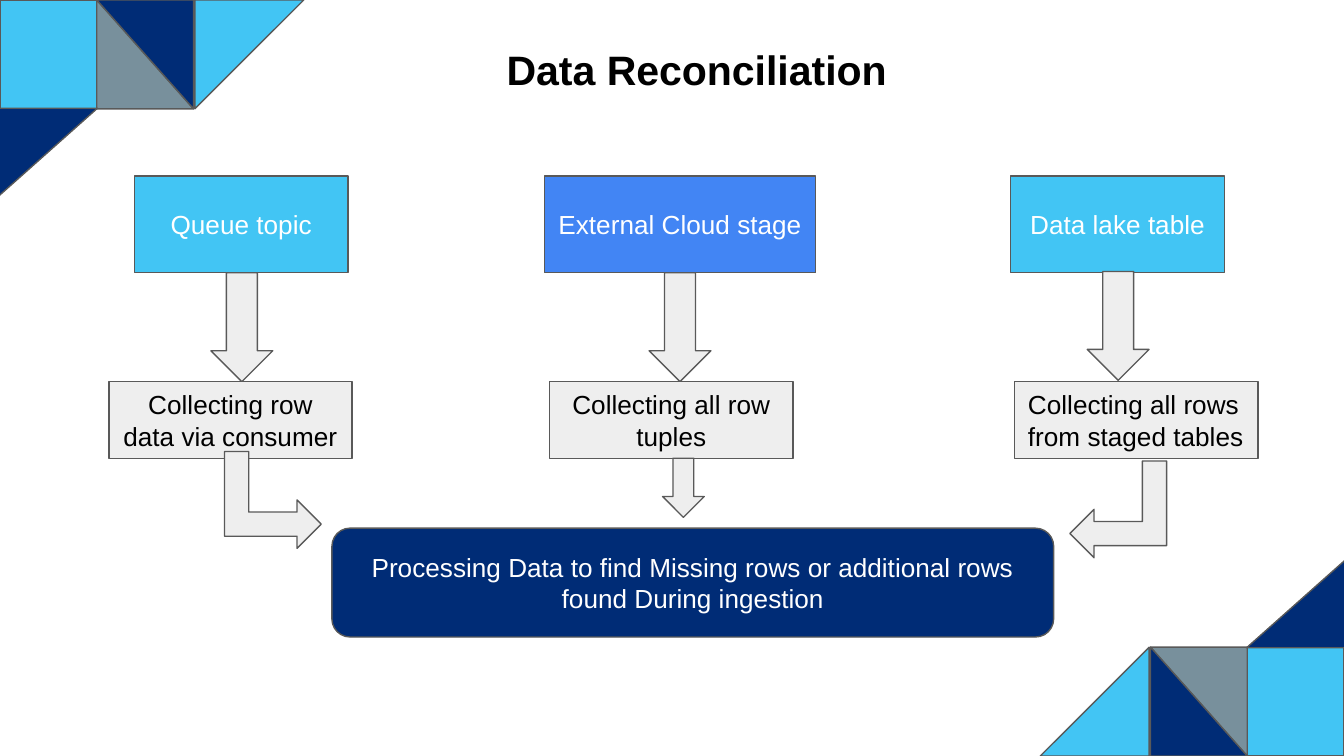
from pptx import Presentation
from pptx.dml.color import RGBColor
from pptx.enum.shapes import MSO_SHAPE as Shape
from pptx.enum.text import MSO_ANCHOR as Anchor, MSO_AUTO_SIZE as AutoSize, PP_ALIGN as Align
from pptx.util import Inches, Pt

WIDTH = 10
HEIGHT = WIDTH * 9 / 16
SKY, BLUE, NAVY = "42C5F4", "4285F4", "002C76"
SLATE, PALE, EDGE = "78909C", "EEEEEE", "595959"
BLACK, WHITE = "000000", "FFFFFF"


def color(value):
    return RGBColor.from_string(value)


def write(tf, text, size=14, fill=BLACK, bold=False, align=Align.CENTER, anchor=Anchor.MIDDLE):
    tf.word_wrap = True
    tf.vertical_anchor = anchor
    tf.margin_left = tf.margin_right = tf.margin_top = tf.margin_bottom = Inches(0.1)
    p = tf.paragraphs[0]
    p.alignment = align
    r = p.add_run()
    r.text = text
    r.font.name = "Arial"
    r.font.size = Pt(size)
    r.font.bold = bold
    r.font.color.rgb = color(fill)


class Deck:
    def __init__(self):
        self.prs = Presentation()
        self.prs.slide_width = Inches(WIDTH)
        self.prs.slide_height = Inches(HEIGHT)
        self.slide = self.prs.slides.add_slide(self.prs.slide_layouts[6])

    def shape(self, kind, x, y, w, h, fill, rotation=0, flip=False):
        sp = self.slide.shapes.add_shape(kind, Inches(x), Inches(y), Inches(w), Inches(h))
        sp.shadow.inherit = False
        sp.fill.solid()
        sp.fill.fore_color.rgb = color(fill)
        sp.line.color.rgb = color(EDGE)
        sp.line.width = Pt(0.75)
        sp.rotation = rotation
        if flip:
            sp._element.spPr.xfrm.set("flipH", "1")
        return sp

    def box(self, text, x, y, w, h, fill, kind=Shape.RECTANGLE, ink=WHITE, align=Align.CENTER):
        sp = self.shape(kind, x, y, w, h, fill)
        write(sp.text_frame, text, fill=ink, align=align)

    def title(self, text, x, y, w, h):
        sp = self.slide.shapes.add_textbox(Inches(x), Inches(y), Inches(w), Inches(h))
        write(sp.text_frame, text, size=22, bold=True, anchor=Anchor.TOP)
        sp.text_frame.auto_size = AutoSize.SHAPE_TO_FIT_TEXT

    def corners(self, tiles):
        for turned in (False, True):
            for kind, x, y, w, h, fill, rotation in tiles:
                if turned:
                    x, y = WIDTH - x - w, HEIGHT - y - h
                    rotation = (rotation + 180) % 360
                self.shape(kind, x, y, w, h, fill, rotation)


def main():
    deck = Deck()
    triangle = Shape.RIGHT_TRIANGLE
    deck.corners([
        (Shape.RECTANGLE, 0, 0, 0.72, 0.81, SKY, 0),
        (triangle, 0.72, 0, 0.72, 0.81, SLATE, 0),
        (triangle, 0.72, 0, 0.72, 0.81, NAVY, 180),
        (triangle, 1.45, 0, 0.81, 0.81, SKY, 90),
        (triangle, -0.04, 0.76, 0.72, 0.81, NAVY, 90),
    ])
    deck.title("Data Reconciliation", 3.35, 0.23, 3.67, 0.57)

    columns = [
        ("Queue topic", 1, 1.59, SKY, 1.57, 2.03,
         "Collecting row data via consumer", 0.81, Align.CENTER),
        ("External Cloud stage", 4.05, 2.02, BLUE, 4.83, 2.03,
         "Collecting all row tuples", 4.09, Align.CENTER),
        ("Data lake table", 7.52, 1.59, SKY, 8.09, 2.02,
         "Collecting all rows from staged tables", 7.55, Align.LEFT),
    ]
    for source, x, w, fill, arrow_x, arrow_y, step, step_x, align in columns:
        deck.box(source, x, 1.31, w, 0.72, fill)
        deck.shape(Shape.DOWN_ARROW, arrow_x, arrow_y, 0.46, 0.81, PALE)
        deck.box(step, step_x, 2.84, 1.81, 0.57, PALE, ink=BLACK, align=align)

    deck.shape(Shape.BENT_UP_ARROW, 1.67, 3.36, 0.72, 0.72, PALE, rotation=90)
    deck.shape(Shape.BENT_UP_ARROW, 7.96, 3.43, 0.72, 0.72, PALE, rotation=270, flip=True)
    deck.shape(Shape.DOWN_ARROW, 4.93, 3.41, 0.31, 0.44, PALE)
    deck.box("Processing Data to find Missing rows or additional rows found During ingestion",
             2.47, 3.93, 5.37, 0.81, NAVY, kind=Shape.ROUNDED_RECTANGLE)
    deck.prs.save("out.pptx")


if __name__ == "__main__":
    main()
